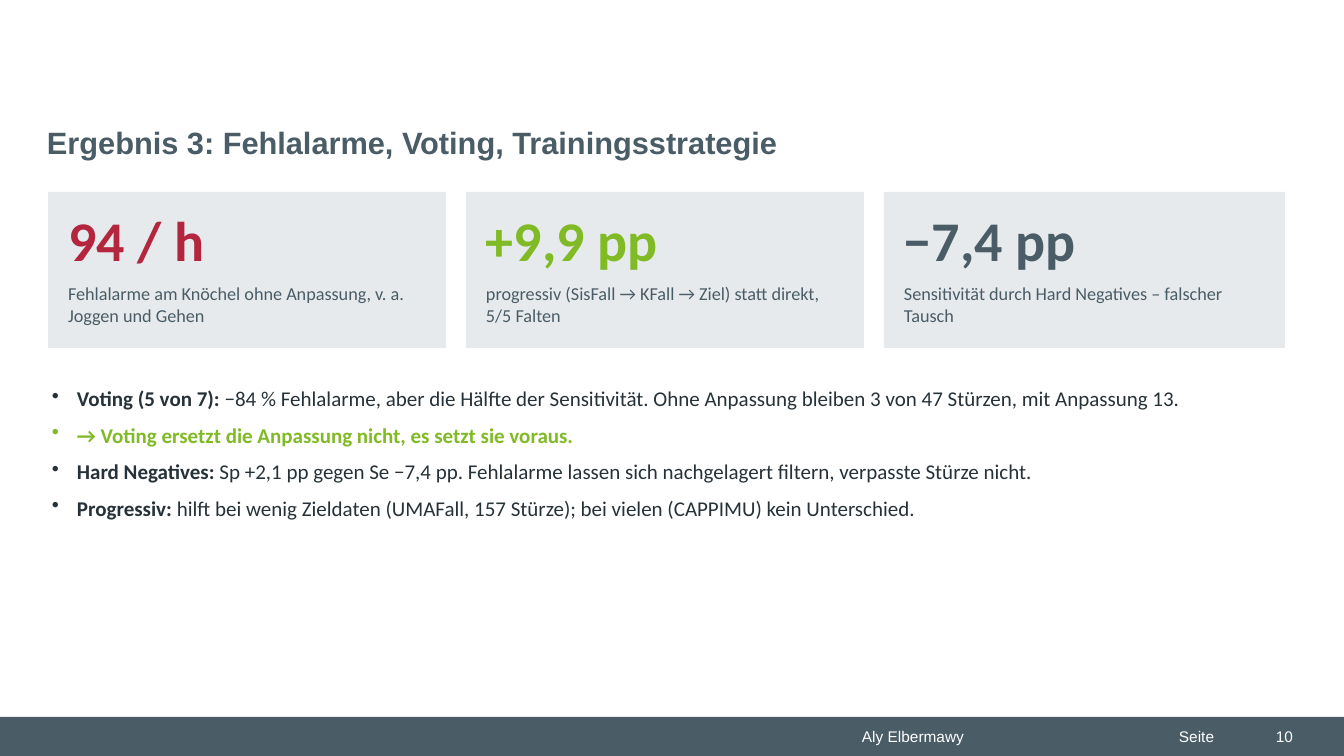
from lxml.etree import SubElement
from pptx import Presentation
from pptx.dml.color import RGBColor
from pptx.enum.shapes import MSO_SHAPE
from pptx.enum.text import MSO_ANCHOR, MSO_AUTO_SIZE, PP_ALIGN
from pptx.oxml.ns import qn
from pptx.util import Emu, Pt

EMU_PER_PX = 914400 / 100.8
SLATE = RGBColor(0x4A, 0x5C, 0x66)
PALE = RGBColor(0xE6, 0xEA, 0xEC)
INK = RGBColor(0x26, 0x32, 0x38)
RED = RGBColor(0xB3, 0x26, 0x3E)
GREEN = RGBColor(0x80, 0xBA, 0x24)
WHITE = RGBColor(0xFF, 0xFF, 0xFF)

TITLE = "Ergebnis 3: Fehlalarme, Voting, Trainingsstrategie"
# left, width, key figure, colour, caption
CARDS = [
    (48, 398, "94 / h", RED, "Fehlalarme am Knöchel ohne Anpassung, v. a. Joggen und Gehen"),
    (466, 398, "+9,9 pp", GREEN, "progressiv (SisFall → KFall → Ziel) statt direkt, 5/5 Falten"),
    (884, 401, "−7,4 pp", SLATE, "Sensitivität durch Hard Negatives – falscher Tausch"),
]
# bold lead, lead colour, explanation
FINDINGS = [
    ("Voting (5 von 7): ", INK, "−84 % Fehlalarme, aber die Hälfte der Sensitivität. "
     "Ohne Anpassung bleiben 3 von 47 Stürzen, mit Anpassung 13."),
    ("→ Voting ersetzt die Anpassung nicht, es setzt sie voraus.", GREEN, ""),
    ("Hard Negatives: ", INK, "Sp +2,1 pp gegen Se −7,4 pp. "
     "Fehlalarme lassen sich nachgelagert filtern, verpasste Stürze nicht."),
    ("Progressiv: ", INK, "hilft bei wenig Zieldaten (UMAFall, 157 Stürze); "
     "bei vielen (CAPPIMU) kein Unterschied."),
]
# left, width, text, alignment
FOOTER = [
    (852, 317, "Aly Elbermawy", PP_ALIGN.LEFT),
    (1169, 85, "Seite", PP_ALIGN.LEFT),
    (1233, 70, "10", PP_ALIGN.RIGHT),
]


def px(length):
    return Emu(round(length * EMU_PER_PX))


class SlideBuilder:
    body = {"name": "Calibri", "bold": False}
    heading = {"name": "Arial", "size": Pt(22), "bold": True}
    footer = {"name": "Arial", "size": Pt(11), "bold": False}

    def __init__(self, presentation):
        self.slide = presentation.slides.add_slide(presentation.slide_layouts[5])

    def frame(self, shape, margins, anchor=MSO_ANCHOR.TOP):
        """Apply wrapping, anchor and (horizontal, vertical) margins."""
        horizontal, vertical = map(px, margins)
        settings = {
            "word_wrap": True, "auto_size": MSO_AUTO_SIZE.NONE, "vertical_anchor": anchor,
            "margin_left": horizontal, "margin_right": horizontal,
            "margin_top": vertical, "margin_bottom": vertical,
        }
        for name, value in settings.items():
            setattr(shape.text_frame, name, value)
        return shape.text_frame

    def run(self, paragraph, text, color, style, **changes):
        run = paragraph.add_run()
        run.text = text
        for name, value in {**style, **changes}.items():
            setattr(run.font, name, value)
        run.font.color.rgb = color

    def title(self, text, *box):
        title = self.slide.shapes.title
        title.left, title.top, title.width, title.height = map(px, box)
        paragraph = self.frame(title, (0, 5)).paragraphs[0]
        paragraph.alignment = PP_ALIGN.LEFT
        self.run(paragraph, text, SLATE, self.heading)

    def panel(self, color, *box):
        panel = self.slide.shapes.add_shape(MSO_SHAPE.RECTANGLE, *map(px, box))
        panel.shadow.inherit = False
        panel.fill.solid()
        panel.fill.fore_color.rgb = color
        panel.line.fill.background()

    def text_box(self, box, margins=(5, 3), anchor=MSO_ANCHOR.TOP):
        return self.frame(self.slide.shapes.add_textbox(*map(px, box)), margins, anchor)

    def card(self, left, width, figure, color, caption):
        self.panel(PALE, left, 192, width, 156)
        lines = [(202, 81, figure, color, 40, True), (279, 62, caption, SLATE, 13, False)]
        for top, height, text, text_color, size, bold in lines:
            paragraph = self.text_box((left + 15, top, width - 30, height)).paragraphs[0]
            self.run(paragraph, text, text_color, self.body, size=Pt(size), bold=bold)

    def bullets(self, findings, *box):
        frame = self.text_box(box)
        for index, (lead, color, explanation) in enumerate(findings):
            paragraph = frame.add_paragraph() if index else frame.paragraphs[0]
            properties = paragraph._p.get_or_add_pPr()
            properties.set("marL", str(px(25)))
            properties.set("indent", str(px(-25)))
            SubElement(properties, qn("a:buChar")).set("char", "•")
            paragraph.space_after = Pt(8)
            self.run(paragraph, lead, color, self.body, size=Pt(15), bold=True)
            if explanation:
                self.run(paragraph, explanation, INK, self.body, size=Pt(15))

    def footer_bar(self, entries):
        self.panel(SLATE, 0, 717, 1344, 39)
        for left, width, text, alignment in entries:
            box = (left, 722, width, 29)
            paragraph = self.text_box(box, (10, 5), MSO_ANCHOR.MIDDLE).paragraphs[0]
            paragraph.alignment = alignment
            self.run(paragraph, text, WHITE, self.footer)


def main():
    presentation = Presentation()
    presentation.slide_width, presentation.slide_height = px(1344), px(756)
    builder = SlideBuilder(presentation)
    builder.footer_bar(FOOTER)
    builder.title(TITLE, 47, 119, 1238, 64)
    for card in CARDS:
        builder.card(*card)
    builder.bullets(FINDINGS, 47, 383, 1240, 292)
    presentation.save("out.pptx")


if __name__ == "__main__":
    main()
